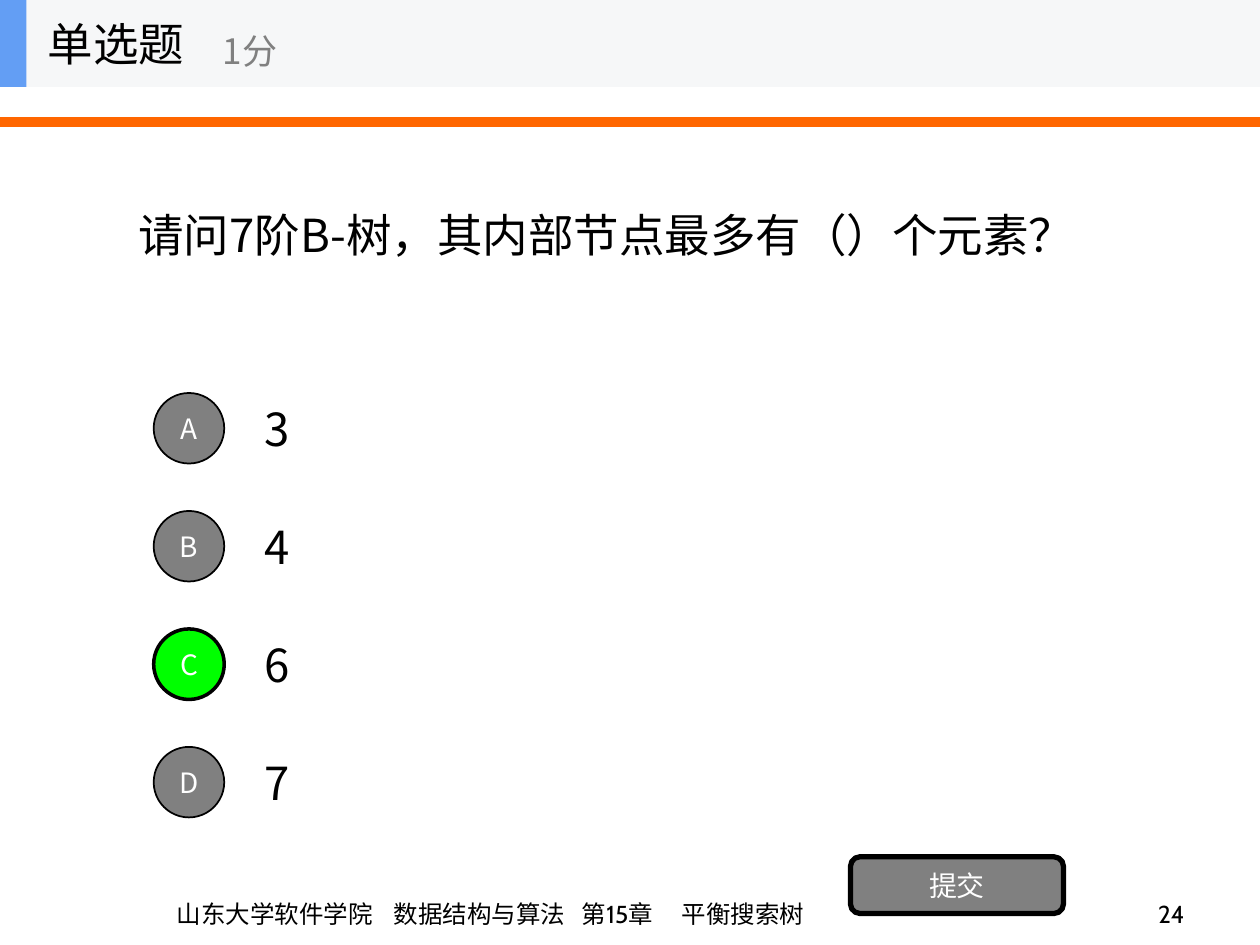
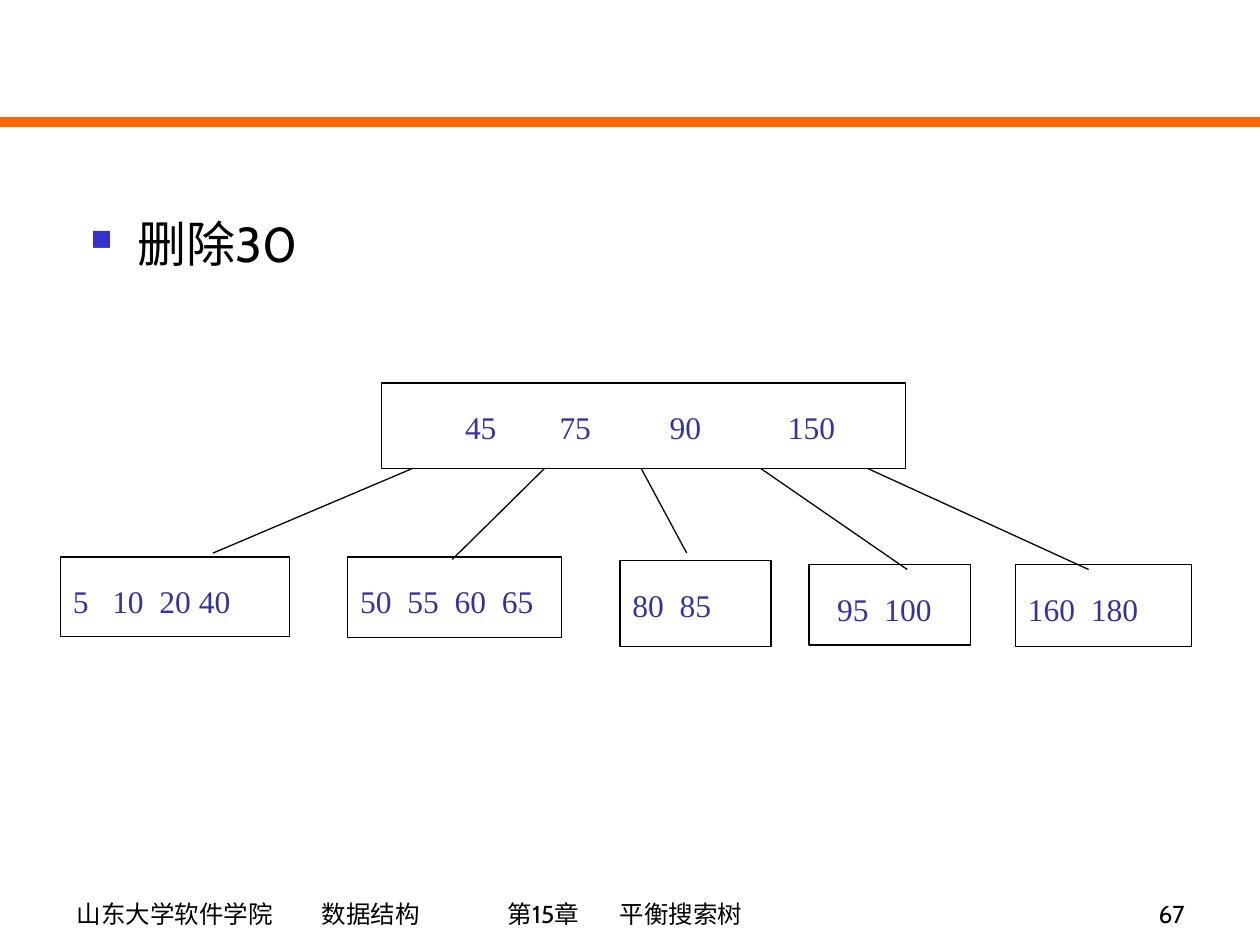
from dataclasses import dataclass

from lxml import etree
from pptx import Presentation
from pptx import util as u
from pptx.dml.color import RGBColor
from pptx.enum import shapes, text
from pptx.oxml import ns

Pt = u.Pt
Shape = shapes.MSO_SHAPE
Anchor = text.MSO_ANCHOR
Align = text.PP_ALIGN

BLACK = RGBColor(0x00, 0x00, 0x00)
WHITE = RGBColor(0xFF, 0xFF, 0xFF)
GRAY = RGBColor(0x80, 0x80, 0x80)
GREEN = RGBColor(0x00, 0xFF, 0x00)
ORANGE = RGBColor(0xFF, 0x66, 0x00)
BAND_GRAY = RGBColor(0xF6, 0xF7, 0xF8)
BAND_BLUE = RGBColor(0x63, 0x9E, 0xF4)
KEY_BLUE = RGBColor(0x33, 0x33, 0x99)
BULLET_BLUE = RGBColor(0x33, 0x33, 0xCC)

CABIN = "Cabin"
NOTO = "Noto Sans CJK SC"
TIMES = "Times New Roman"


@dataclass(frozen=True)
class Area:
    left: float
    top: float
    width: float
    height: float

    def lengths(self):
        return Pt(self.left), Pt(self.top), Pt(self.width), Pt(self.height)


@dataclass(frozen=True)
class Style:
    font: str
    size: float
    color: RGBColor = BLACK
    align: Align = Align.LEFT
    anchor: Anchor = Anchor.MIDDLE
    spacing: float = 1.0


@dataclass(frozen=True)
class Piece:
    """A word and its tab position, measured from the left inset."""
    offset: float
    words: str


@dataclass(frozen=True)
class Option:
    letter: str
    answer: str
    correct: bool = False


@dataclass(frozen=True)
class Node:
    area: Area
    keys: tuple[Piece, ...]


@dataclass(frozen=True)
class Branch:
    x1: float
    x2: float
    y2: float


FOOTER = Style(CABIN, 14, anchor=Anchor.BOTTOM)
PAGE_NUMBER = Style(CABIN, 14, align=Align.RIGHT, anchor=Anchor.BOTTOM)
QUESTION = Style(NOTO, 26)
POINTS = Style(NOTO, 20, GRAY)
BUTTON = Style(NOTO, 16, WHITE, Align.CENTER)
BODY = Style(CABIN, 28, anchor=Anchor.TOP, spacing=0.9)
KEYS = Style(TIMES, 18, KEY_BLUE, anchor=Anchor.TOP, spacing=1.5)


def add_element(parent, tag: str, **attributes: str):
    return etree.SubElement(parent, ns.qn(tag), attributes)


def add_tabs(para, offsets: list[float]) -> None:
    tabs = add_element(para._p.get_or_add_pPr(), "a:tabLst")
    for offset in offsets:
        add_element(tabs, "a:tab", pos=str(int(Pt(offset))), algn="l")


def add_bullet(para, indent: float) -> None:
    properties = para._p.get_or_add_pPr()
    properties.set("marL", str(int(Pt(indent))))
    properties.set("indent", str(-int(Pt(indent))))
    color = add_element(properties, "a:buClr")
    add_element(color, "a:srgbClr", val=str(BULLET_BLUE))
    add_element(properties, "a:buSzPct", val="60000")
    add_element(properties, "a:buChar", char="■")


def write(box, words: str | tuple[Piece, ...], style: Style, indent: float = 0) -> None:
    frame = box.text_frame
    frame.word_wrap = True
    frame.vertical_anchor = style.anchor
    para = frame.paragraphs[0]
    if isinstance(words, str):
        para.text = words
    else:
        lead = "\t" if words[0].offset else ""
        para.text = lead + "\t".join(piece.words for piece in words)
        add_tabs(para, [piece.offset for piece in words if piece.offset])
    if indent:
        add_bullet(para, indent)
    para.alignment = style.align
    para.line_spacing = style.spacing
    para.font.name = style.font
    para.font.size = Pt(style.size)
    para.font.color.rgb = style.color


def add_label(page, area: Area, words: str | tuple[Piece, ...], style: Style,
              indent: float = 0) -> None:
    write(page.shapes.add_textbox(*area.lengths()), words, style, indent)


def add_block(page, kind: Shape, area: Area, fill: RGBColor, line: float = 0):
    block = page.shapes.add_shape(kind, *area.lengths())
    block.shadow.inherit = False
    block.fill.solid()
    block.fill.fore_color.rgb = fill
    if line:
        block.line.color.rgb = BLACK
        block.line.width = Pt(line)
    else:
        block.line.fill.background()
    return block


def add_line(page, x1: float, y1: float, x2: float, y2: float,
             color: RGBColor, width: float) -> None:
    line = page.shapes.add_connector(
        shapes.MSO_CONNECTOR.STRAIGHT, Pt(x1), Pt(y1), Pt(x2), Pt(y2))
    line.line.color.rgb = color
    line.line.width = Pt(width)
    add_element(line._element.spPr, "a:effectLst")


def add_page(deck, footer: tuple[Piece, ...], number: str):
    """Blank page with the orange rule, footer and page number."""
    page = deck.slides.add_slide(deck.slide_layouts[6])
    add_line(page, 0, 69.84, 720, 69.84, ORANGE, 6)
    add_label(page, Area(36.72, 498.24, 493.2, 36), footer, FOOTER)
    add_label(page, Area(534.24, 498.24, 149.76, 36), number, PAGE_NUMBER)
    return page


# Quiz page
QUIZ_FOOTER = (Piece(57.2, "山东大学软件学院"), Piece(181.2, "数据结构与算法"),
               Piece(288.7, "第15章"), Piece(345.8, "平衡搜索树"))
OPTIONS = (Option("A", "3"), Option("B", "4"), Option("C", "6", True), Option("D", "7"))
OPTION_TOP, OPTION_STEP = 219.6, 67.4


def add_option(page, option: Option, top: float) -> None:
    add_label(page, Area(144, top, 504, 50.4), option.answer, QUESTION)
    fill, line = (GREEN, 2) if option.correct else (GRAY, 1)
    circle = add_block(page, Shape.OVAL, Area(87.84, top + 5, 40.32, 40.32), fill, line)
    write(circle, option.letter, BUTTON)


def build_quiz(deck) -> None:
    page = add_page(deck, QUIZ_FOOTER, "24")
    add_label(page, Area(72, 49.68, 576, 168.48),
              "请问7阶B-树，其内部节点最多有（）个元素？", QUESTION)
    for row, option in enumerate(OPTIONS):
        add_option(page, option, OPTION_TOP + row * OPTION_STEP)
    button = add_block(page, Shape.ROUNDED_RECTANGLE, Area(486, 489.6, 121.68, 32.4), GRAY, 3)
    write(button, "提交", BUTTON)

    # Heading band
    add_block(page, Shape.RECTANGLE, Area(0, 0, 720, 49.68), BAND_GRAY)
    add_block(page, Shape.RECTANGLE, Area(0, 0, 15.12, 49.68), BAND_BLUE)
    add_label(page, Area(20.16, 0, 149.76, 49.68), "单选题", QUESTION)
    add_label(page, Area(120.24, 8.64, 180, 40.32), "1分", POINTS)


# Tree page
TREE_FOOTER = (Piece(0, "山东大学软件学院"), Piece(140.1, "数据结构"),
               Piece(246.4, "第15章"), Piece(310.4, "平衡搜索树"))
ROOT = Node(Area(218.16, 218.88, 299.52, 48.96),
            (Piece(40.5, "45"), Piece(94.5, "75"), Piece(157.5, "90"), Piece(225, "150")))
LEAVES = (
    Node(Area(34.56, 318.24, 131.04, 45.36),
         (Piece(0, "5"), Piece(22.5, "10"), Piece(49.5, "20"), Piece(72, "40"))),
    Node(Area(198.72, 318.24, 122.4, 46.08),
         (Piece(0, "50"), Piece(27, "55"), Piece(54, "60"), Piece(81, "65"))),
    Node(Area(354.24, 320.4, 86.4, 48.96), (Piece(0, "80"), Piece(27, "85"))),
    Node(Area(462.24, 322.56, 92.16, 46.08), (Piece(9, "95"), Piece(36, "100"))),
    Node(Area(580.32, 322.56, 100.8, 46.8), (Piece(0, "160"), Piece(36, "180"))),
)
BRANCHES = (
    Branch(235.44, 121.68, 316.08),
    Branch(311.04, 258.48, 319.68),
    Branch(366.48, 392.4, 316.08),
    Branch(434.88, 518.4, 325.44),
    Branch(496.08, 622.08, 325.44),
)


def build_tree(deck) -> None:
    page = add_page(deck, TREE_FOOTER, "67")
    add_label(page, Area(44.64, 122.4, 675.36, 79.2), "删除30", BODY, indent=27)
    for node in (ROOT, *LEAVES):
        block = add_block(page, Shape.RECTANGLE, node.area, WHITE, 0.75)
        write(block, node.keys, KEYS)
    root_bottom = ROOT.area.top + ROOT.area.height
    for branch in BRANCHES:
        add_line(page, branch.x1, root_bottom, branch.x2, branch.y2, BLACK, 0.75)


def main() -> None:
    deck = Presentation()
    deck.slide_width, deck.slide_height = Pt(720), Pt(540)
    build_quiz(deck)
    build_tree(deck)
    deck.save("out.pptx")


if __name__ == "__main__":
    main()
